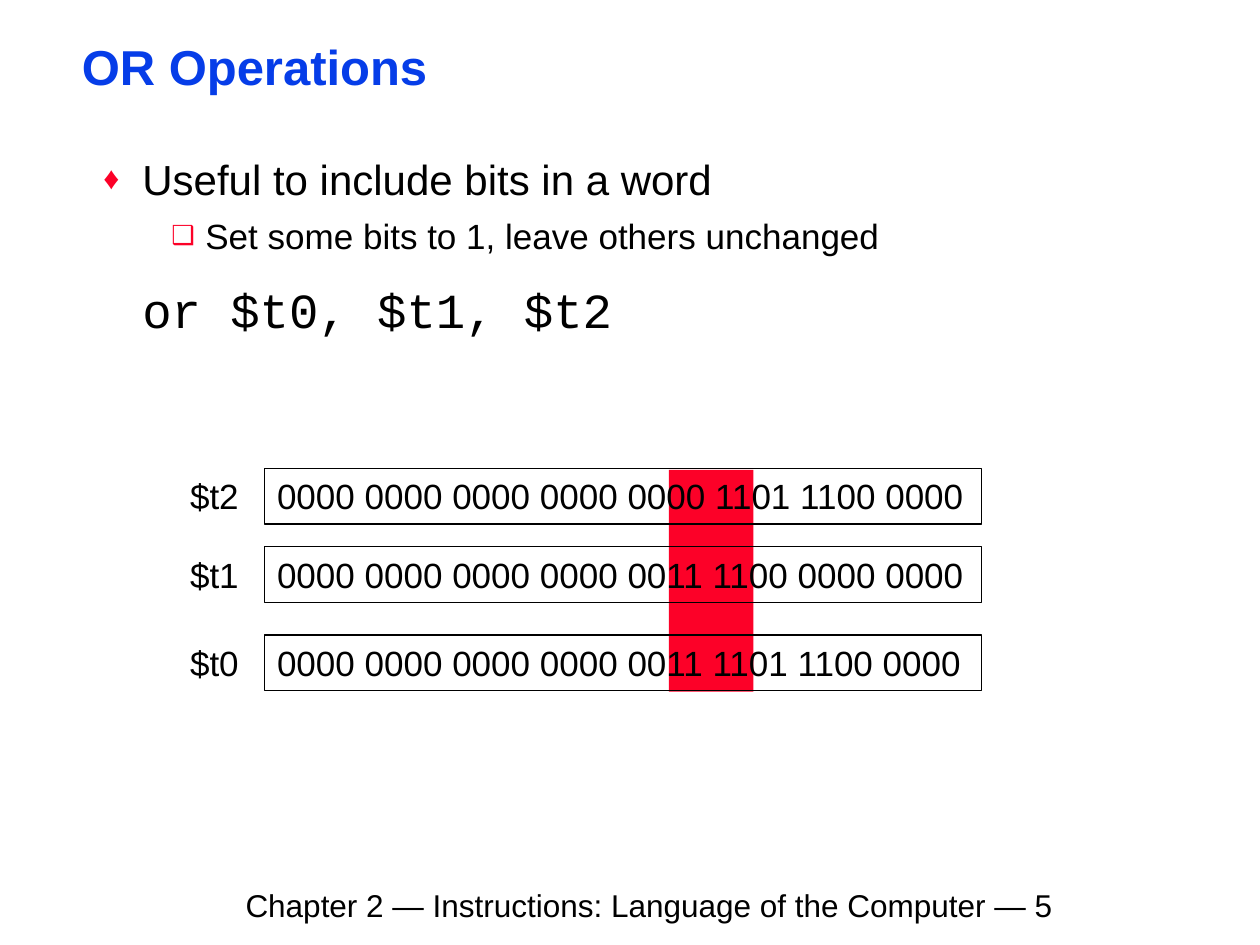
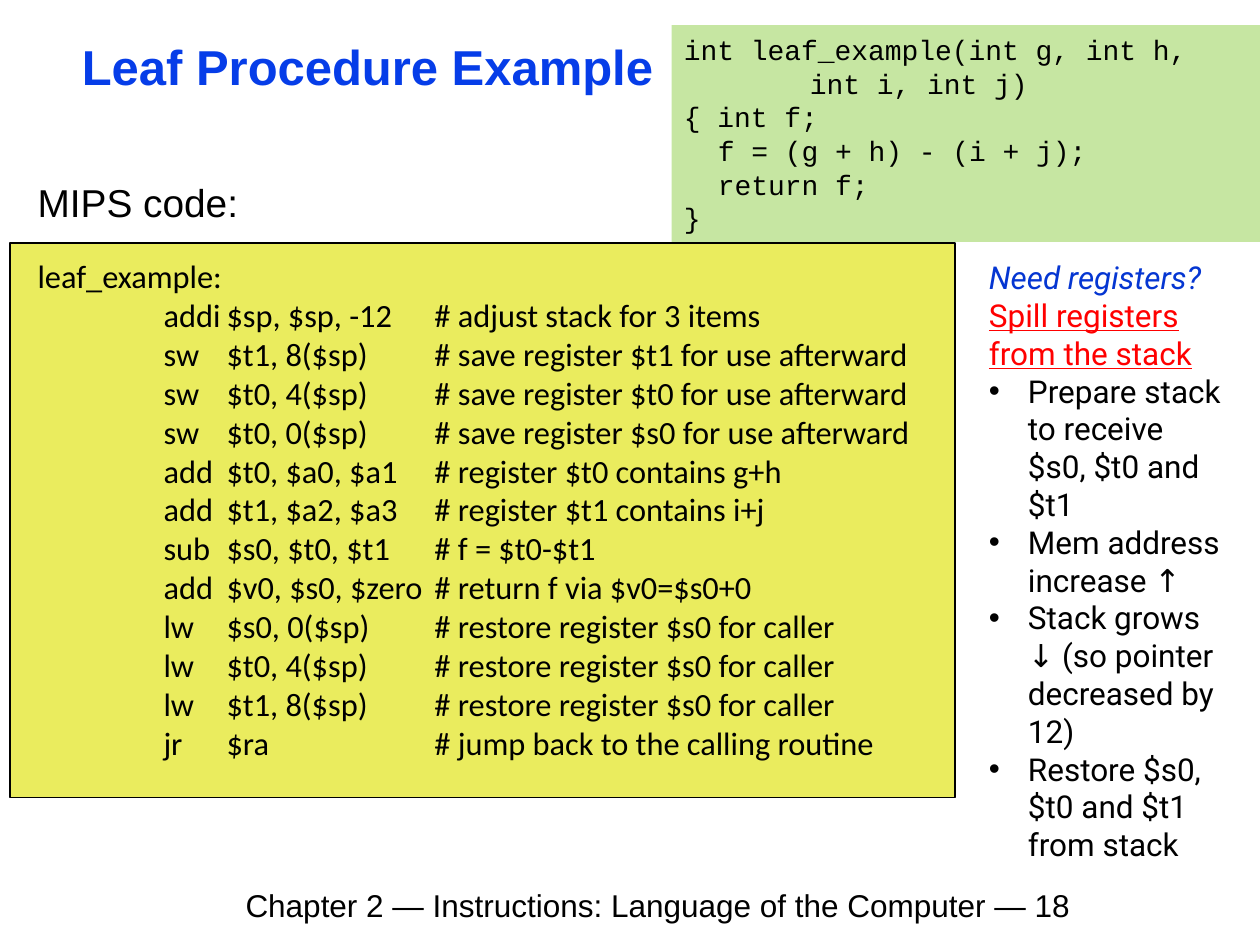
from lxml.etree import SubElement
from pptx import Presentation
from pptx.dml.color import RGBColor
from pptx.enum.shapes import MSO_SHAPE
from pptx.enum.text import MSO_ANCHOR, MSO_AUTO_SIZE, PP_ALIGN
from pptx.oxml.ns import qn
from pptx.util import Inches, Pt

BLACK = RGBColor(0x00, 0x00, 0x00)
TITLE_BLUE = RGBColor(0x06, 0x3D, 0xE8)
NOTE_BLUE = RGBColor(0x05, 0x36, 0xD2)
BIT_RED = RGBColor(0xFC, 0x01, 0x28)
NOTE_RED = RGBColor(0xFF, 0x00, 0x00)
LISTING_YELLOW = RGBColor(0xEA, 0xEC, 0x5E)
SOURCE_GREEN = RGBColor(0xC6, 0xE6, 0xA2)
SANS, MONO, LISTING_FONT, NOTE_FONT = "Arial", "Courier New", "Calibri", "Roboto"
TITLE_ONLY, TITLE_AND_BODY = 5, 1

REGISTERS = [
    ("$t2", 3.72, "0000 0000 0000 0000 0000 1101 1100 0000"),
    ("$t1", 4.34, "0000 0000 0000 0000 0011 1100 0000 0000"),
    ("$t0", 5.04, "0000 0000 0000 0000 0011 1101 1100 0000"),
]
SOURCE_LINES = [
    ("int leaf_example(int g, int h,", 0),
    ("int i, int j)", 1),
    ("{ int f;", 0),
    ("f = (g + h) - (i + j);", 0.27),
    ("return f;", 0.27),
    ("}", 0),
]
INSTRUCTIONS = [
    ("addi", "$sp, $sp, -12", "adjust stack for 3 items"),
    ("sw", "$t1, 8($sp)", "save register $t1 for use afterward"),
    ("sw", "$t0, 4($sp)", "save register $t0 for use afterward"),
    ("sw", "$t0, 0($sp)", "save register $s0 for use afterward"),
    ("add", "$t0, $a0, $a1", "register $t0 contains g+h"),
    ("add", "$t1, $a2, $a3", "register $t1 contains i+j"),
    ("sub", "$s0, $t0, $t1", "f = $t0-$t1"),
    ("add", "$v0, $s0, $zero", "return f via $v0=$s0+0"),
    ("lw", "$s0, 0($sp)", "restore register $s0 for caller"),
    ("lw", "$t0, 4($sp)", "restore register $s0 for caller"),
    ("lw", "$t1, 8($sp)", "restore register $s0 for caller"),
    ("jr", "$ra", "jump back to the calling routine"),
]
STACK_STEPS = [
    "Prepare stack to receive $s0, $t0 and $t1",
    "Mem address increase ↑",
    "Stack grows ↓ (so pointer decreased by 12)",
    "Restore $s0, $t0 and $t1 from stack",
]


def place(shape, left, top, width, height):
    """Move and size a shape, in inches."""
    shape.left, shape.top = Inches(left), Inches(top)
    shape.width, shape.height = Inches(width), Inches(height)


def prepare_frame(shape, side=0.1, edge=0.05, anchor=MSO_ANCHOR.TOP):
    """Set wrapping, insets and anchor, and return the text frame."""
    frame = shape.text_frame
    frame.word_wrap = True
    frame.auto_size = MSO_AUTO_SIZE.NONE
    frame.margin_left = frame.margin_right = Inches(side)
    frame.margin_top = frame.margin_bottom = Inches(edge)
    frame.vertical_anchor = anchor
    return frame


def add_frame(slide, left, top, width, height):
    """Add a text box and return its text frame."""
    box = slide.shapes.add_textbox(
        Inches(left), Inches(top), Inches(width), Inches(height))
    return prepare_frame(box)


def add_rectangle(slide, left, top, width, height, fill=None, line=None):
    """Add a flat rectangle with optional fill and outline."""
    shape = slide.shapes.add_shape(
        MSO_SHAPE.RECTANGLE,
        Inches(left), Inches(top), Inches(width), Inches(height))
    shape.shadow.inherit = False
    if fill is None:
        shape.fill.background()
    else:
        shape.fill.solid()
        shape.fill.fore_color.rgb = fill
    if line is None:
        shape.line.fill.background()
    else:
        shape.line.color.rgb = line
        shape.line.width = Pt(0.75)
    return shape


def add_run(paragraph, text, size, font=SANS, color=BLACK, **styles):
    """Add one formatted run."""
    run = paragraph.add_run()
    run.text = text
    run.font.size = Pt(size)
    run.font.name = font
    run.font.color.rgb = color
    for style, value in styles.items():
        setattr(run.font, style, value)


def next_paragraph(frame, spacing=None, before=0):
    """Return the unused first paragraph or a new one, aligned left."""
    paragraph = frame.paragraphs[0]
    if paragraph.runs:
        paragraph = frame.add_paragraph()
    paragraph.alignment = PP_ALIGN.LEFT
    paragraph.space_before = Pt(before)
    if spacing is not None:
        paragraph.line_spacing = spacing
    return paragraph


def set_bullet(paragraph, margin, hanging, mark=None, color=None, percent=100):
    """Set the indents and bullet mark of a paragraph."""
    properties = paragraph._p.get_or_add_pPr()
    properties.set("marL", str(Inches(margin)))
    properties.set("indent", str(-Inches(hanging)))
    if mark is None:
        SubElement(properties, qn("a:buNone"))
        return
    if color is not None:
        holder = SubElement(properties, qn("a:buClr"))
        SubElement(holder, qn("a:srgbClr"), val=str(color))
    SubElement(properties, qn("a:buSzPct"), val=str(percent * 1000))
    SubElement(properties, qn("a:buFont"), typeface=SANS)
    SubElement(properties, qn("a:buChar"), char=mark)


def set_tabs(paragraph, *stops):
    """Set left tab stops, in inches."""
    tabs = SubElement(paragraph._p.get_or_add_pPr(), qn("a:tabLst"))
    for stop in stops:
        SubElement(tabs, qn("a:tab"), pos=str(Inches(stop)), algn="l")


def start_slide(presentation, layout, title, number):
    """Add a slide with the shared title style and footer."""
    slide = presentation.slides.add_slide(presentation.slide_layouts[layout])
    place(slide.shapes.title, 0.58, 0.33, 8.92, 0.46)
    frame = prepare_frame(slide.shapes.title, 0.07, 0.03, MSO_ANCHOR.MIDDLE)
    add_run(next_paragraph(frame, 0.87), title, 28, color=TITLE_BLUE, bold=True)
    footer = next_paragraph(add_frame(slide, 1.85, 6.98, 7.95, 0.39))
    add_run(footer,
            f"Chapter 2 — Instructions: Language of the Computer — {number}", 18)
    return slide


def fill_or_body(body, left, top, width, height):
    """Write the explanation of the instruction in the body placeholder."""
    place(body, left, top, width, height)
    frame = prepare_frame(body, 0.07, 0.03)
    point = next_paragraph(frame, 0.9)
    set_bullet(point, 0.31, 0.31, "♦", BIT_RED, 75)
    add_run(point, "Useful to include bits in a word", 24)
    detail = next_paragraph(frame, 0.85, 9.5)
    detail.level = 1
    set_bullet(detail, 0.81, 0.27, "❑", BIT_RED, 75)
    add_run(detail, "Set some bits to 1, leave others unchanged", 20)
    instruction = next_paragraph(frame, 0.9, 17)
    set_bullet(instruction, 0.31, 0)
    add_run(instruction, "or $t0, $t1, $t2", 28, MONO)


def add_register(slide, left, top, name, bits):
    """Add a register name and its boxed bits."""
    label = next_paragraph(add_frame(slide, left, top, 0.59, 0.43))
    add_run(label, name, 20)
    box = add_rectangle(slide, left + 0.69, top, 5.69, 0.44, line=BLACK)
    add_run(next_paragraph(prepare_frame(box)), bits, 20)


def add_source_code(slide, left, top, width, height):
    """Add the green panel with the source function."""
    panel = add_rectangle(slide, left, top, width, height, SOURCE_GREEN)
    frame = prepare_frame(panel, anchor=MSO_ANCHOR.MIDDLE)
    for text, indent in SOURCE_LINES:
        paragraph = next_paragraph(frame, Pt(19.2))
        set_bullet(paragraph, indent, 0)
        add_run(paragraph, text, 16, MONO)


def add_listing(slide, left, top, width, height):
    """Add the yellow panel with the captioned assembly listing."""
    add_rectangle(slide, left, top, width, height, LISTING_YELLOW, BLACK)
    frame = add_frame(slide, left + 0.12, top - 0.56, width, height + 0.5)
    add_run(next_paragraph(frame), "MIPS code:", 22.2)
    label = next_paragraph(frame, Pt(22.2), 17.8)
    add_run(label, "leaf_example:", 18.5, LISTING_FONT)
    for operation, operands, comment in INSTRUCTIONS:
        paragraph = next_paragraph(frame, Pt(22.2))
        set_tabs(paragraph, 1, 1.5, 3.15)
        add_run(paragraph, f"\t{operation}\t{operands}\t# {comment}",
                18.5, LISTING_FONT)


def add_stack_notes(slide, left, top, width, height):
    """Add the side notes on spilling registers."""
    frame = add_frame(slide, left, top, width, height)
    add_run(next_paragraph(frame), "Need registers?", 18, NOTE_FONT,
            NOTE_BLUE, italic=True)
    add_run(next_paragraph(frame), "Spill registers from the stack", 18,
            NOTE_FONT, NOTE_RED, underline=True)
    for step in STACK_STEPS:
        paragraph = next_paragraph(frame)
        set_bullet(paragraph, 0.31, 0.31, "•")
        add_run(paragraph, step, 18, NOTE_FONT)


def build_or_slide(presentation):
    """Build the slide on the OR instruction."""
    slide = start_slide(presentation, TITLE_AND_BODY, "OR Operations", 5)
    fill_or_body(slide.placeholders[1], 0.75, 1.23, 9.05, 2.27)
    add_rectangle(slide, 5.31, 3.73, 0.67, 1.76, BIT_RED)
    for name, top, bits in REGISTERS:
        add_register(slide, 1.41, top, name, bits)


def build_leaf_slide(presentation):
    """Build the slide on the leaf procedure."""
    slide = start_slide(presentation, TITLE_ONLY, "Leaf Procedure Example", 18)
    add_source_code(slide, 5.33, 0.2, 4.67, 1.72)
    add_listing(slide, 0.08, 1.93, 7.5, 4.4)
    add_stack_notes(slide, 7.75, 2, 2.09, 5.25)


def main():
    """Build and save the presentation."""
    presentation = Presentation()
    presentation.slide_width, presentation.slide_height = Inches(10), Inches(7.5)
    build_or_slide(presentation)
    build_leaf_slide(presentation)
    presentation.save("out.pptx")


if __name__ == "__main__":
    main()
